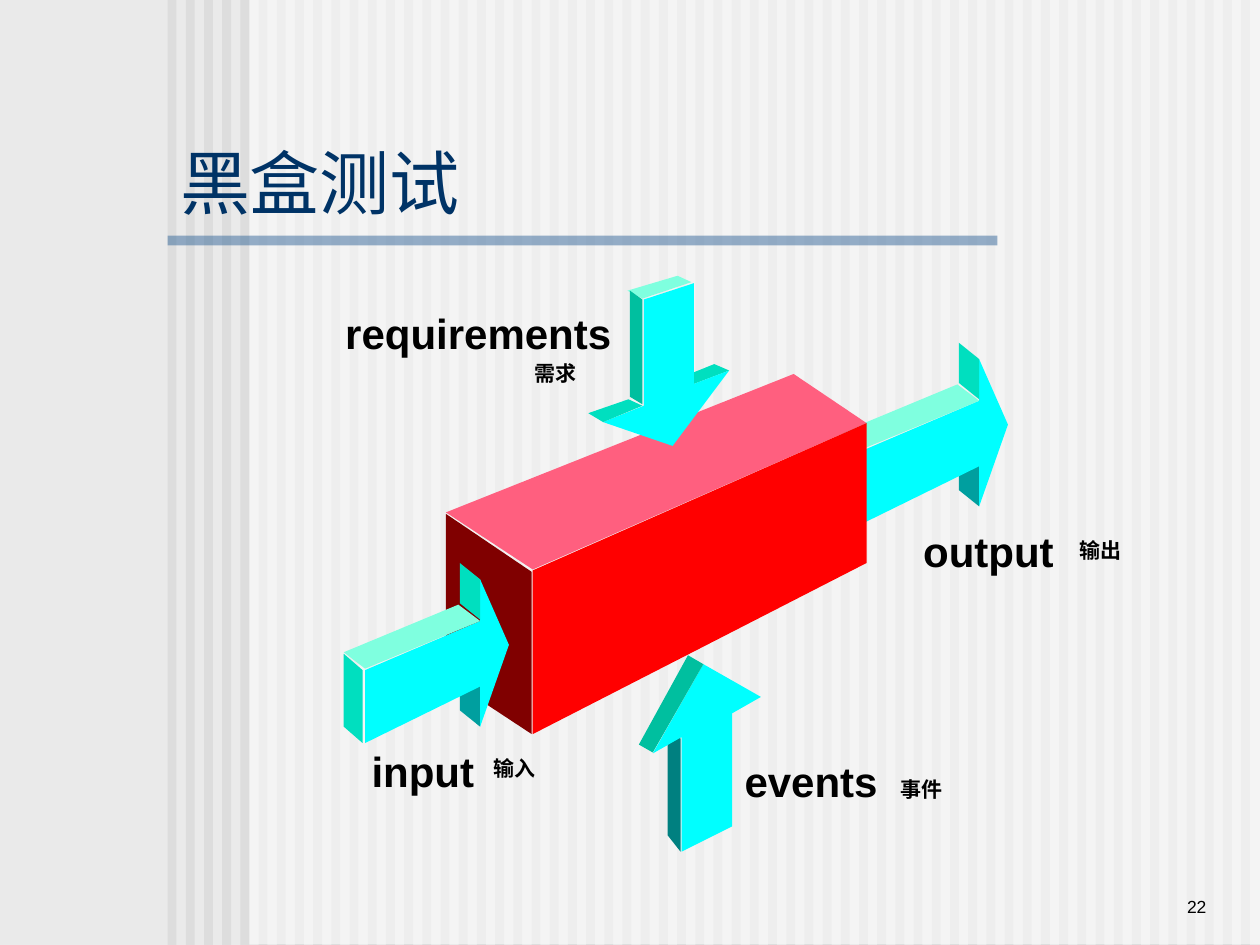
from dataclasses import dataclass

from lxml import etree
from pptx import Presentation
from pptx import util as u
from pptx.dml.color import RGBColor
from pptx.enum import shapes, text
from pptx.oxml.ns import qn


@dataclass(frozen=True)
class Theme:
    font: str = "Arial"
    title_size: int = 40
    label_size: int = 24
    translation_size: int = 12
    number_size: int = 10
    background: str = "EAEAEA"
    stripe: str = "DDDDDD"
    veil: str = "FFFFFF"
    rule: str = "336699"
    title: str = "003366"
    ink: str = "000000"
    arrow_front: str = "00FFFF"
    arrow_light: str = "7FFFDF"
    arrow_side: str = "00DFBF"
    arrow_shade: str = "00BF9F"
    arrow_under: str = "009F9F"
    arrow_dark: str = "008080"
    box_front: str = "FF0000"
    box_top: str = "FF5F7F"
    box_end: str = "800000"


THEME = Theme()

# Each solid is a list of (colour, corners) faces from back to front,
# in centimetres from the solid's top left corner.
RIGHT_ARROW = [
    (THEME.arrow_under, [(2.75, 3.3), (2.75, 2.49), (2.34, 2.16), (2.34, 2.97)]),
    (THEME.arrow_front, [(2.75, 1.17), (0.43, 2.16), (0.43, 3.63), (2.75, 2.49),
                         (2.75, 3.3), (3.33, 1.65), (2.75, 0.33)]),
    (THEME.arrow_side, [(0.38, 2.16), (0.38, 3.63), (0, 3.3), (0, 1.83)]),
    (THEME.arrow_light, [(0, 1.8), (0.43, 2.13), (2.75, 1.17), (2.31, 0.84)]),
    (THEME.arrow_side, [(2.75, 0.33), (2.34, 0), (2.34, 0.81), (2.75, 1.14)]),
]
UP_ARROW = [
    (THEME.arrow_dark, [(0.84, 3.96), (0.84, 1.68), (0.58, 1.5), (0.58, 3.63)]),
    (THEME.arrow_front, [(1.3, 0.18), (2.46, 0.84), (1.88, 1.17), (1.88, 3.45),
                         (0.86, 3.96), (0.86, 1.65), (0.28, 1.98)]),
    (THEME.arrow_shade, [(0.28, 1.96), (0, 1.8), (0.99, 0), (1.3, 0.18)]),
]
BOX = [
    (THEME.box_end, [(0, 2.82), (1.73, 3.99), (1.73, 7.26), (0, 6.12)]),
    (THEME.box_top, [(0, 2.79), (1.75, 3.94), (8.48, 0.99), (7.01, 0)]),
    (THEME.box_front, [(1.75, 3.96), (1.75, 7.26), (8.48, 3.81), (8.48, 0.99)]),
]
DOWN_ARROW = [
    (THEME.arrow_light, [(0.79, 0.3), (1.09, 0.46), (2.08, 0.13), (1.8, 0)]),
    (THEME.arrow_side, [(2.13, 2.18), (2.84, 1.91), (2.54, 1.78), (1.85, 2.06)]),
    (THEME.arrow_front, [(1.12, 0.48), (2.13, 0.15), (2.13, 2.18), (2.84, 1.91),
                         (1.7, 3.43), (0.3, 2.95), (1.12, 2.62)]),
    (THEME.arrow_side, [(0.3, 2.95), (0, 2.77), (0.81, 2.49), (1.09, 2.62)]),
    (THEME.arrow_shade, [(0.84, 2.44), (1.09, 2.59), (1.09, 0.48), (0.84, 0.3)]),
]
SOLIDS = [
    (RIGHT_ARROW, 16.99, 6.91),
    (UP_ARROW, 12.88, 13.21),
    (BOX, 8.99, 7.54),
    (DOWN_ARROW, 11.86, 5.56),
    (RIGHT_ARROW, 6.93, 11.35),
]

# Wording, left, top, width
TRANSLATIONS = [
    ("需求", 10.52, 7.14, 1.35),
    ("事件", 17.91, 15.52, 1.35),
    ("输入", 9.7, 15.11, 1.35),
    ("输出", 21.51, 10.72, 1.35),
]
LABELS = [
    ("requirements", 6.71, 6.07, 5.9),
    ("events", 14.76, 15.11, 3.22),
    ("input", 7.24, 14.91, 2.6),
    ("output", 18.36, 10.46, 3.18),
]


def paint(shape, colour, opacity=100):
    """Give a shape a plain fill, with neither outline nor shadow."""
    shape.shadow.inherit = False
    shape.line.fill.background()
    shape.fill.solid()
    shape.fill.fore_color.rgb = RGBColor.from_string(colour)
    if opacity < 100:
        colour_element = shape.fill._xPr.find(qn("a:solidFill"))[0]
        alpha = etree.SubElement(colour_element, qn("a:alpha"))
        alpha.set("val", str(opacity * 1000))


def add_bar(slide, left, top, width, height, colour, opacity=100):
    bar = slide.shapes.add_shape(
        shapes.MSO_SHAPE.RECTANGLE,
        u.Cm(left), u.Cm(top), u.Cm(width), u.Cm(height))
    paint(bar, colour, opacity)


def add_backdrop(slide):
    slide.background.fill.solid()
    slide.background.fill.fore_color.rgb = RGBColor.from_string(THEME.background)
    first, last, count = 3.38, 25.02, 60
    pitch = (last - first) / (count - 1)
    for index in range(count):
        add_bar(slide, first + index * pitch, 0, 0.18, 19.05, THEME.stripe)
    add_bar(slide, 5.03, 0, 20.37, 19.03, THEME.veil, 50)
    add_bar(slide, 3.38, 4.75, 16.73, 0.2, THEME.rule, 50)


def add_solid(slide, faces, left, top):
    for colour, corners in faces:
        points = [(u.Cm(left + x), u.Cm(top + y)) for x, y in corners]
        builder = slide.shapes.build_freeform(*points[0])
        builder.add_line_segments(points[1:], close=True)
        paint(builder.convert_to_shape(), colour)


def add_text(slide, wording, left, top, width, height, size, colour=THEME.ink,
             bold=False, wrap=False, anchor=text.MSO_ANCHOR.TOP,
             alignment=text.PP_ALIGN.LEFT):
    """Add a one-line text box; without wrap, it grows to fit its text."""
    box = slide.shapes.add_textbox(
        u.Cm(left), u.Cm(top), u.Cm(width), u.Cm(height))
    frame = box.text_frame
    frame.text = wording
    frame.word_wrap = wrap
    if not wrap:
        frame.auto_size = text.MSO_AUTO_SIZE.SHAPE_TO_FIT_TEXT
    frame.vertical_anchor = anchor
    paragraph = frame.paragraphs[0]
    paragraph.alignment = alignment
    font = paragraph.runs[0].font
    font.name = THEME.font
    font.size = u.Pt(size)
    font.bold = bold
    font.color.rgb = RGBColor.from_string(colour)


def main():
    presentation = Presentation()
    presentation.slide_width = u.Cm(25.4)
    presentation.slide_height = u.Cm(19.05)
    slide = presentation.slides.add_slide(presentation.slide_layouts[6])

    add_backdrop(slide)
    add_text(slide, "22", 20.96, 17.35, 3.61, 1.27, THEME.number_size, wrap=True,
             anchor=text.MSO_ANCHOR.BOTTOM, alignment=text.PP_ALIGN.RIGHT)
    add_text(slide, "黑盒测试", 3.38, 2.97, 14.43, 1.37, THEME.title_size,
             THEME.title, wrap=True, anchor=text.MSO_ANCHOR.MIDDLE)
    for faces, left, top in SOLIDS:
        add_solid(slide, faces, left, top)
    for wording, left, top, width in TRANSLATIONS:
        add_text(slide, wording, left, top, width, 0.76,
                 THEME.translation_size, bold=True)
    for wording, left, top, width in LABELS:
        add_text(slide, wording, left, top, width, 1.27,
                 THEME.label_size, bold=True)

    presentation.save("out.pptx")


if __name__ == "__main__":
    main()
